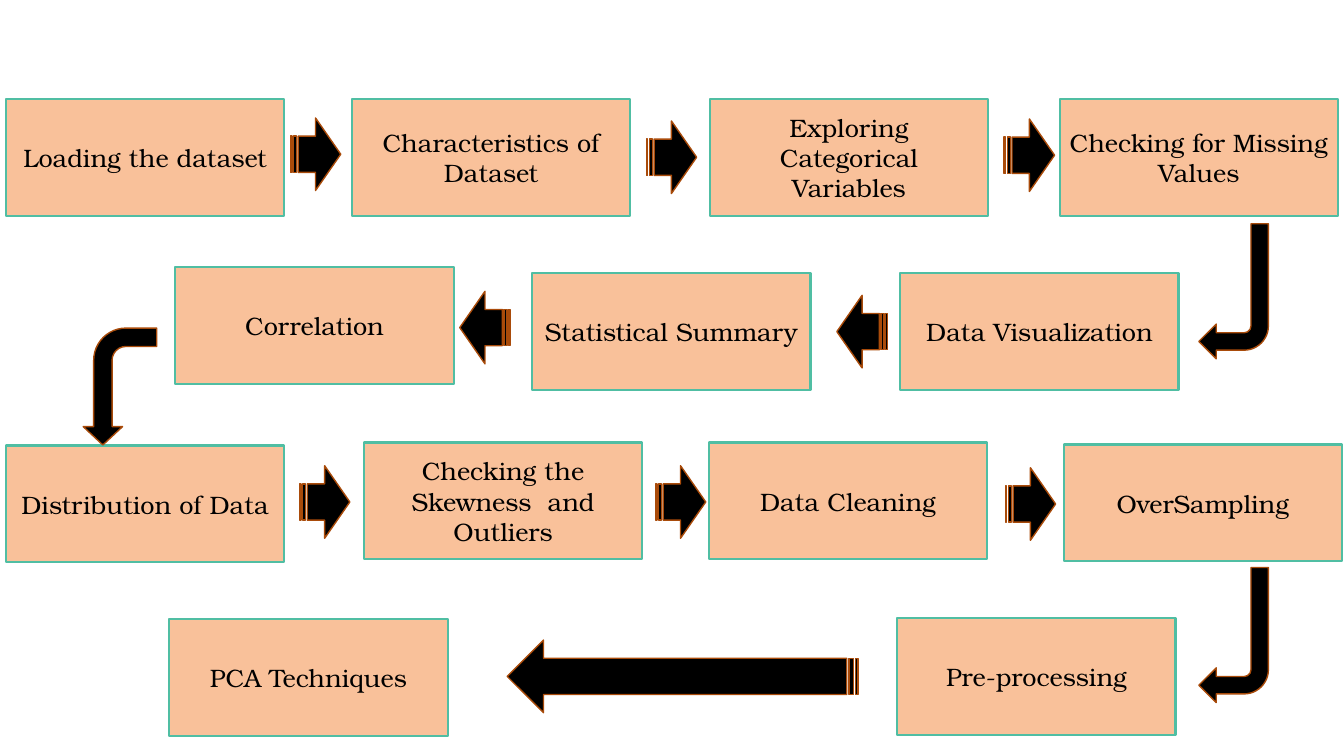
from dataclasses import dataclass

from pptx import Presentation
from pptx.dml.color import RGBColor
from pptx.enum.shapes import MSO_SHAPE
from pptx.enum.text import MSO_ANCHOR, PP_ALIGN
from pptx.util import Emu, Pt

RECT = MSO_SHAPE.RECTANGLE
STRIPED = MSO_SHAPE.STRIPED_RIGHT_ARROW
BENT = MSO_SHAPE.BENT_ARROW
MIDDLE = MSO_ANCHOR.MIDDLE
CENTER = PP_ALIGN.CENTER

PX = 9144  # EMU in one px, 100 px to the inch
FONT = "TeX Gyre Bonum"
PEACH = RGBColor(0xF9, 0xC1, 0x9A)
TEAL = RGBColor(0x50, 0xBE, 0xA3)
BLACK = RGBColor(0x00, 0x00, 0x00)
RUST = RGBColor(0xA9, 0x4B, 0x0A)

STEP_W, STEP_H = 276, 116
ARROW_W, ARROW_H = 50, 72


@dataclass
class Step:
    text: str
    left: int
    top: int


@dataclass
class Arrow:
    left: int
    top: int
    width: int = ARROW_W
    height: int = ARROW_H
    turn: int = 0
    flip: bool = False
    bend: tuple[float, ...] = ()


# Steps in reading order of the flow
STEPS = [
    Step("Loading the dataset", 6, 98),
    Step("Characteristics of Dataset", 349, 98),
    Step("Exploring Categorical Variables", 704, 98),
    Step("Checking for Missing Values", 1051, 98),
    Step("Data Visualization", 893, 271),
    Step("Statistical Summary", 528, 271),
    Step("Correlation", 174, 265),
    Step("Distribution of Data", 6, 442),
    Step("Checking the Skewness  and Outliers", 361, 439),
    Step("Data Cleaning", 703, 439),
    Step("OverSampling", 1055, 441),
    Step("Pre-processing", 890, 613),
    Step("PCA Techniques", 168, 614),
]

HOOK = (0.25, 0.25, 0.25, 0.348)
ARROWS = [
    # First row, rightwards
    Arrow(288, 117),
    Arrow(641, 120),
    Arrow(996, 118),
    # Second row, leftwards
    Arrow(830, 293, turn=180),
    Arrow(456, 289, turn=180),
    # Third row, rightwards
    Arrow(297, 462),
    Arrow(650, 462),
    Arrow(997, 464),
    # Last row, one long arrow leftwards
    Arrow(503, 635, width=348, turn=180),
    # Turns from row to row
    Arrow(1189, 222, 69, 134, 180, bend=HOOK),
    Arrow(61, 347, 116, 73, 90, True, (0.25, 0.268, 0.25, 0.438)),
    Arrow(1189, 563, 69, 134, 180, bend=HOOK),
]


def add_form(slide, kind: MSO_SHAPE, box: tuple[int, int, int, int],
             fill: RGBColor, line: RGBColor, weight: float):
    form = slide.shapes.add_shape(kind, *(Emu(n * PX) for n in box))
    form.shadow.inherit = False
    form.fill.solid()
    form.fill.fore_color.rgb = fill
    form.line.color.rgb = line
    form.line.width = Pt(weight)
    return form


def add_step(slide, step: Step) -> None:
    box = (step.left, step.top, STEP_W, STEP_H)
    frame = add_form(slide, RECT, box, PEACH, TEAL, 1.5).text_frame
    frame.word_wrap = True
    frame.vertical_anchor = MIDDLE
    para = frame.paragraphs[0]
    para.text = step.text
    para.alignment = CENTER
    para.font.name = FONT
    para.font.size = Pt(18)
    para.font.color.rgb = BLACK


def add_arrow(slide, arrow: Arrow) -> None:
    box = (arrow.left, arrow.top, arrow.width, arrow.height)
    kind = BENT if arrow.bend else STRIPED
    form = add_form(slide, kind, box, BLACK, RUST, 1)
    form.rotation = arrow.turn
    for i, value in enumerate(arrow.bend):
        form.adjustments[i] = value
    if arrow.flip:
        form._element.spPr.xfrm.set("flipV", "1")


def main() -> None:
    deck = Presentation()
    deck.slide_width = Emu(1333 * PX)
    deck.slide_height = Emu(750 * PX)
    slide = deck.slides.add_slide(deck.slide_layouts[6])
    for step in STEPS:
        add_step(slide, step)
    for arrow in ARROWS:
        add_arrow(slide, arrow)
    deck.save("out.pptx")


if __name__ == "__main__":
    main()
